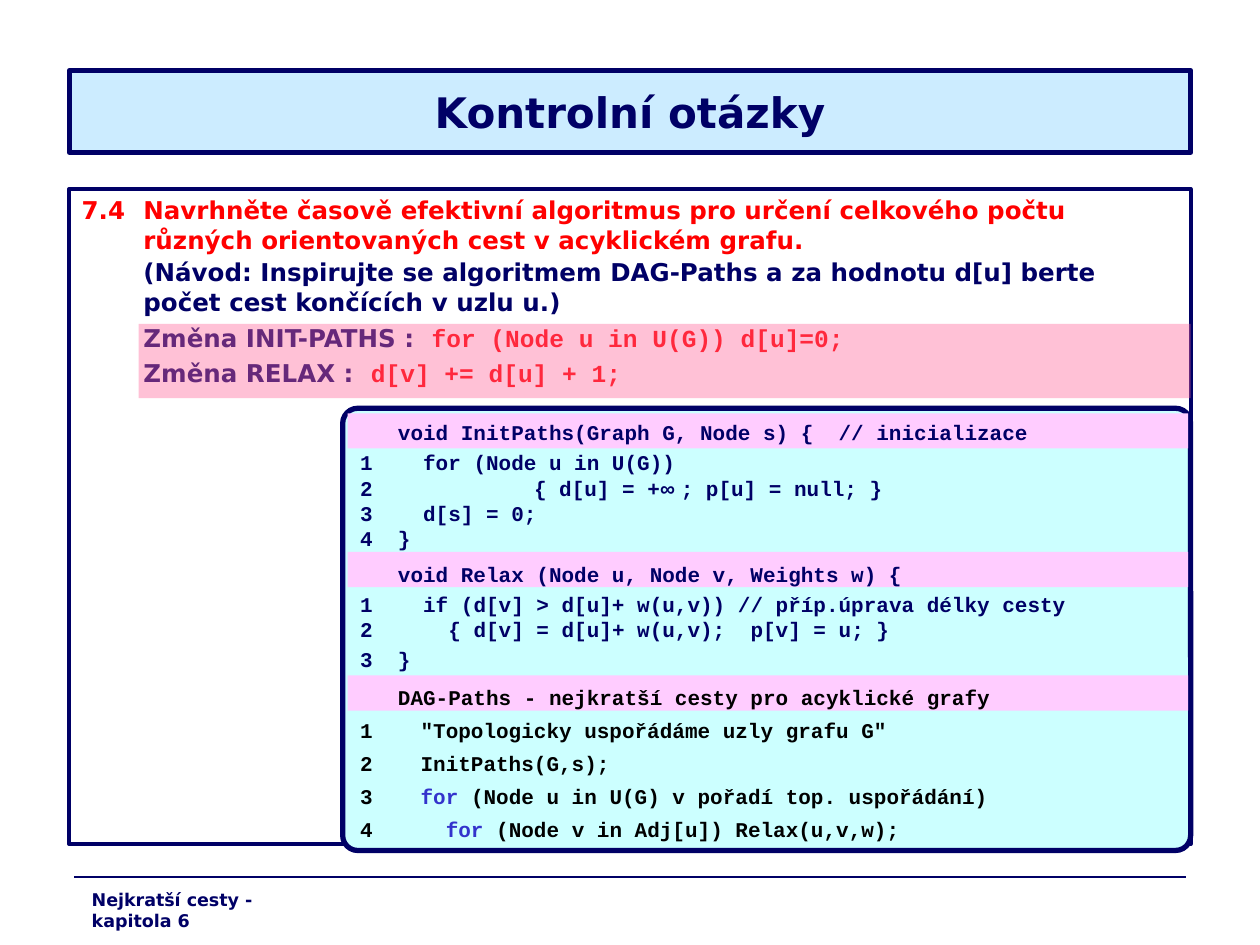
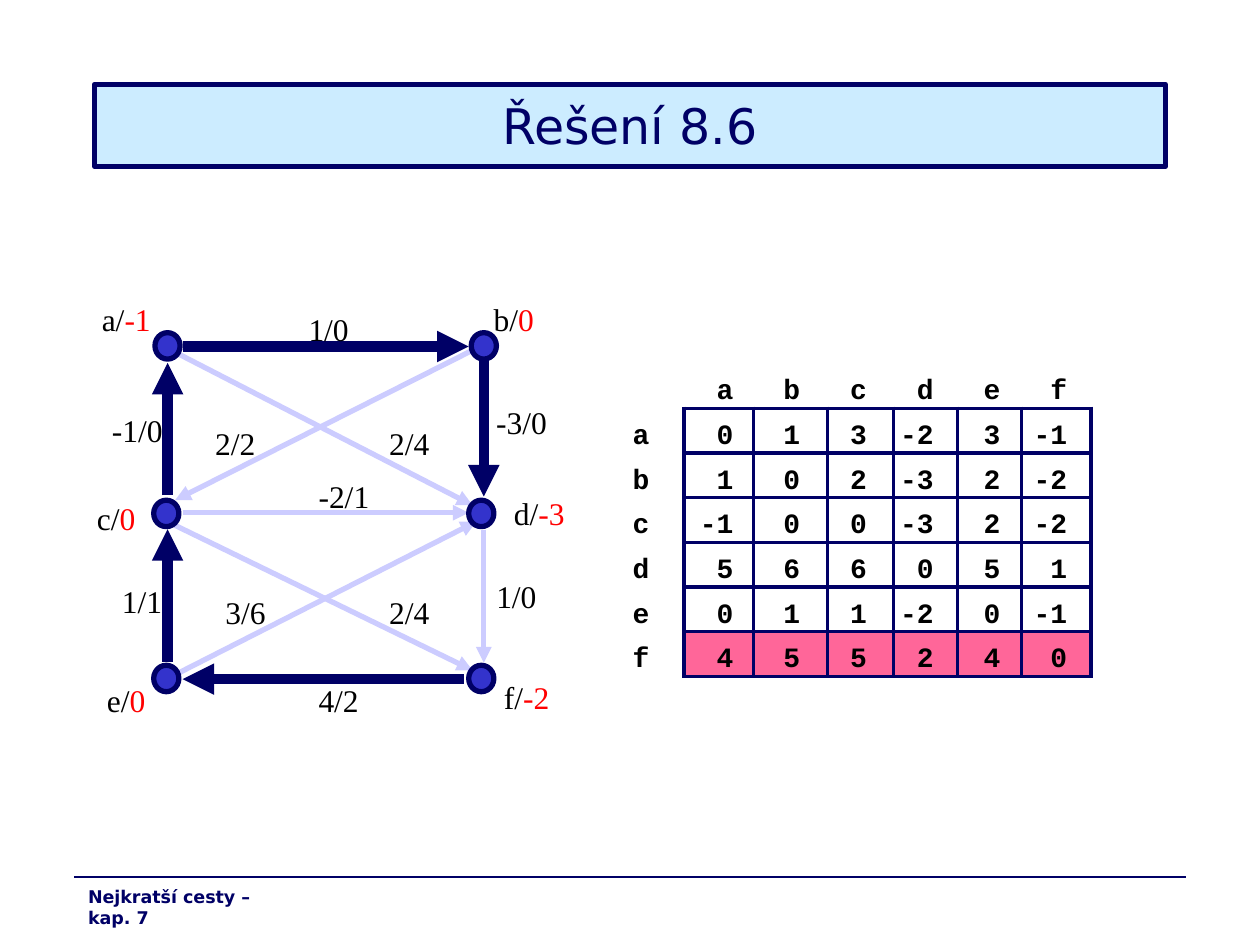
from dataclasses import dataclass
from typing import NamedTuple, Optional

from lxml import etree
from pptx import Presentation
from pptx import util as u
from pptx.dml.color import RGBColor
from pptx.enum import shapes, text
from pptx.oxml import ns

Inches = u.Inches
Kind = shapes.MSO_SHAPE


@dataclass(frozen=True)
class Theme:
    navy: str = "000066"
    sky: str = "CCECFF"
    aqua: str = "CCFFFF"
    pale: str = "FFCCFF"
    pink: str = "FF6699"
    red: str = "FF0000"
    blue: str = "3333CC"
    faint: str = "CCCCFF"
    black: str = "000000"
    sans: str = "DejaVu Sans"
    mono: str = "Courier New"
    serif: str = "Times New Roman"
    math: str = "Arial"
    head: int = 24
    answer: int = 28
    body: int = 14
    code: int = 12
    label: int = 18
    cell: int = 16
    foot: int = 10
    thin: float = 0.75
    rule: float = 2.25
    edge: float = 3
    bold: float = 6


T = Theme()


class Box(NamedTuple):
    x: float
    y: float
    w: float
    h: float


class Style(NamedTuple):
    face: str
    size: int
    color: str
    bold: bool = False


class Run(NamedTuple):
    text: str
    color: Optional[str] = None
    face: Optional[str] = None


class Para(NamedTuple):
    runs: list[Run]
    style: Style
    before: float = 0
    after: float = 0
    lead: float = 1
    hang: float = 0


class Edge(NamedTuple):
    x1: float
    y1: float
    x2: float
    y2: float
    strong: bool = False


class Label(NamedTuple):
    x: float
    y: float
    w: float
    text: str
    value: str = ""


def rgb(code: str) -> RGBColor:
    return RGBColor.from_string(code)


def set_font(font, style: Style) -> None:
    font.name, font.size, font.bold = style.face, u.Pt(style.size), style.bold
    font.color.rgb = rgb(style.color)


def write(frame, paras: list[Para]) -> None:
    frame.word_wrap = True
    for i, para in enumerate(paras):
        p = frame.paragraphs[0] if i == 0 else frame.add_paragraph()
        p.alignment = text.PP_ALIGN.LEFT
        p.space_before, p.space_after = u.Pt(para.before), u.Pt(para.after)
        p.line_spacing = para.lead
        if para.hang:
            props = p._p.get_or_add_pPr()
            props.set("marL", str(Inches(para.hang)))
            props.set("indent", str(-Inches(para.hang)))
        set_font(p.font, para.style)
        for run in para.runs:
            r = p.add_run()
            r.text = run.text
            if run.color:
                r.font.color.rgb = rgb(run.color)
            if run.face:
                r.font.name = run.face


def add_text(slide, box: Box, paras: list[Para]) -> None:
    write(slide.shapes.add_textbox(*map(Inches, box)).text_frame, paras)


def paint(shape, fill: Optional[str], line: Optional[str], width: float = T.edge) -> None:
    if fill:
        shape.fill.solid()
        shape.fill.fore_color.rgb = rgb(fill)
    else:
        shape.fill.background()
    if line:
        shape.line.color.rgb = rgb(line)
        shape.line.width = u.Pt(width)
    else:
        shape.line.fill.background()


def add_shape(slide, kind, box: Box, fill: Optional[str] = None,
              line: Optional[str] = None, width: float = T.edge):
    shape = slide.shapes.add_shape(kind, *map(Inches, box))
    shape.shadow.inherit = False
    paint(shape, fill, line, width)
    return shape


def add_line(slide, edge: Edge, color: str, width: float, arrow: bool = False) -> None:
    line = slide.shapes.add_connector(shapes.MSO_CONNECTOR.STRAIGHT, *map(Inches, edge[:4]))
    line.line.color.rgb = rgb(color)
    line.line.width = u.Pt(width)
    if arrow:
        etree.SubElement(line.line._get_or_add_ln(), ns.qn("a:tailEnd"), type="triangle")
    etree.SubElement(line._element.spPr, ns.qn("a:effectLst"))


def add_slide(deck, title: str, box: Box, style: Style, foot: str, spot: Box):
    slide = deck.slides.add_slide(deck.slide_layouts[5])
    add_line(slide, Edge(0.59, 6.96, 9.41, 6.96), T.navy, T.thin)
    head = slide.shapes.title
    head.left, head.top, head.width, head.height = map(Inches, box)
    paint(head, T.sky, T.navy)
    frame = head.text_frame
    frame.text = title
    frame.vertical_anchor = text.MSO_ANCHOR.MIDDLE
    frame.paragraphs[0].alignment = text.PP_ALIGN.CENTER
    set_font(frame.paragraphs[0].font, style)
    add_text(slide, spot, [Para([Run(foot)], Style(T.sans, T.foot, T.navy, True), 2.5)])
    return slide


ASK = Style(T.sans, T.body, T.navy, True)
CODE = Style(T.mono, T.code, T.navy, True)
DAG = CODE._replace(color=T.black)


def note(*runs: Run, before: float = 0, lead: float = 1) -> Para:
    return Para([Run("\t"), *runs], ASK, before, 1.8, lead, 0.49)


def code(mark: str, at: float, *runs: Run, before: float = 0,
         lead: float = 1, style: Style = CODE) -> Para:
    return Para([Run(f"{mark}\t"), *runs], style, before, 0, lead, at)


QUIZ = [
    Para([Run("7.4\tNavrhněte časově efektivní algoritmus pro určení celkového počtu "
              "různých orientovaných cest v acyklickém grafu.")],
         ASK._replace(color=T.red), 5.2, 1.8, 1, 0.49),
    note(Run("(Návod: Inspirujte se algoritmem DAG-Paths a za hodnotu d[u] berte "
             "počet cest končících v uzlu u.)")),
    note(Run("Změna INIT-PATHS :  "),
         Run("for (Node u in U(G)) d[u]=0;", T.red, T.mono), before=5.2, lead=0.8),
    note(Run("Změna RELAX :  "),
         Run("d[v] += d[u] + 1;", T.red, T.mono), before=5.2, lead=0.8),
]

LINES = [
    code("", 0.3, Run("void InitPaths(Graph G, Node s) {  // inicializace"), before=3),
    code("1", 0.5, Run("for (Node u in U(G))"), before=3),
    code("2", 1.38, Run("{ d[u] = +"), Run("∞ ", face=T.math), Run("; p[u] = null; }")),
    code("3", 0.5, Run("d[s] = 0;")),
    code("4", 0.3, Run("}")),
    code("", 0.3, Run("void Relax (Node u, Node v, Weights w) {"), before=6),
    code("1", 0.5, Run("if (d[v] > d[u]+ w(u,v)) // příp.úprava délky cesty"), before=3),
    code("2", 0.7, Run("{ d[v] = d[u]+ w(u,v);  p[v] = u; }")),
    code("3", 0.3, Run("}"), before=2.3),
    code("", 0.3, Run("DAG-Paths - nejkratší cesty pro acyklické grafy"),
         before=3, lead=1.3, style=DAG),
    code("1", 0.48, Run('"Topologicky uspořádáme uzly grafu G"'), before=4.5, style=DAG),
    code("2", 0.48, Run("InitPaths(G,s);"), before=4.5, style=DAG),
    code("3", 0.48, Run("for ", T.blue), Run("(Node u in U(G) v pořadí top. uspořádání)"),
         before=4.5, style=DAG),
    code("4", 0.68, Run("for ", T.blue), Run("(Node v in Adj[u]) Relax(u,v,w);"),
         before=4.5, style=DAG),
]

EDGES = [
    Edge(1.42, 5.34, 3.78, 4.14), Edge(1.45, 4.07, 3.72, 4.07),
    Edge(3.68, 5.39, 1.45, 5.39, True), Edge(1.33, 5.25, 1.33, 4.2, True),
    Edge(1.45, 2.75, 3.72, 2.75, True), Edge(1.36, 2.78, 3.75, 4.01),
    Edge(3.84, 2.82, 3.84, 3.94, True), Edge(1.39, 4.17, 3.75, 5.32),
    Edge(3.75, 2.78, 1.39, 3.97), Edge(1.33, 3.93, 1.33, 2.88, True),
    Edge(3.84, 4.21, 3.84, 5.26),
]
NODES = [(1.23, 2.64), (3.74, 2.64), (1.22, 3.97), (3.72, 3.97), (1.22, 5.28), (3.72, 5.28)]
LABELS = [
    Label(2.35, 2.41, 0.68, "1/0"), Label(0.87, 4.57, 0.53, "1/1"),
    Label(3.84, 4.53, 0.61, "1/0"), Label(1.61, 3.32, 0.65, "2/2"),
    Label(3.84, 3.15, 0.73, "-3/0"), Label(2.99, 3.32, 0.62, "2/4"),
    Label(2.43, 3.74, 0.68, "-2/1"), Label(1.69, 4.66, 0.56, "3/6"),
    Label(0.79, 3.21, 0.64, "-1/0"), Label(2.99, 4.66, 0.74, "2/4"),
    Label(2.43, 5.36, 0.6, "4/2"), Label(0.71, 2.33, 0.67, "a/", "-1"),
    Label(3.9, 5.33, 0.71, "f/", "-2"), Label(0.75, 5.36, 0.55, "e/", "0"),
    Label(3.98, 3.87, 0.63, "d/", "-3"), Label(0.67, 3.91, 0.55, "c/", "0"),
    Label(3.82, 2.33, 0.55, "b/", "0"),
]
NAMES = "abcdef"
COSTS = [
    (0, 1, 3, -2, 3, -1),
    (1, 0, 2, -3, 2, -2),
    (-1, 0, 0, -3, 2, -2),
    (5, 6, 6, 0, 5, 1),
    (0, 1, 1, -2, 0, -1),
    (4, 5, 5, 2, 4, 0),
]
STOPS = [4.92, 5.43, 5.98, 6.57, 7.09, 7.6, 8.11, 8.66]
NO_GRID = "{2D5ABB26-0587-4C30-8999-92F81FD0307C}"


def add_sides(cell, sides: str) -> None:
    props = cell._tc.get_or_add_tcPr()
    for i, side in enumerate(sides):
        line = etree.Element(ns.qn(f"a:ln{side}"), w=str(u.Pt(T.rule)))
        fill = etree.SubElement(line, ns.qn("a:solidFill"))
        etree.SubElement(fill, ns.qn("a:srgbClr"), val=T.navy)
        props.insert(i, line)


def add_costs(slide) -> None:
    rows = [("", *NAMES)] + [(n, *row) for n, row in zip(NAMES, COSTS)]
    high = 2.13 / len(COSTS)
    box = Box(STOPS[0], 3.24 - high, STOPS[-1] - STOPS[0], high * len(rows))
    frame = slide.shapes.add_table(len(rows), len(rows[0]), *map(Inches, box))
    grid = frame.table
    grid._tbl.tblPr.find(ns.qn("a:tableStyleId")).text = NO_GRID
    grid.first_row = grid.horz_banding = False
    for c, (left, right) in enumerate(zip(STOPS, STOPS[1:])):
        grid.columns[c].width = Inches(right - left)
    for r, row in enumerate(rows):
        grid.rows[r].height = Inches(high)
        for c, value in enumerate(row):
            cell = grid.cell(r, c)
            cell.margin_top = cell.margin_bottom = 0
            cell.margin_left = Inches(0.1 if c == 0 else 0)
            cell.margin_right = Inches(STOPS[c + 1] - 5.29 - 0.53 * c if c else 0)
            cell.vertical_anchor = text.MSO_ANCHOR.BOTTOM
            cell.text = str(value)
            p = cell.text_frame.paragraphs[0]
            p.alignment = text.PP_ALIGN.RIGHT if c else text.PP_ALIGN.LEFT
            set_font(p.font, Style(T.mono, T.cell, T.black, True))
            if c and r == len(COSTS):
                cell.fill.solid()
                cell.fill.fore_color.rgb = rgb(T.pink)
            else:
                cell.fill.background()
            drawn = {"L": r and c, "R": r, "T": r and c, "B": c}
            add_sides(cell, "".join(side for side, on in drawn.items() if on))


def add_quiz(deck) -> None:
    slide = add_slide(deck, "Kontrolní otázky", Box(0.55, 0.56, 8.9, 0.65),
                      Style(T.sans, T.head, T.navy, True),
                      "Nejkratší cesty - kapitola 6", Box(0.63, 7.01, 2.04, 0.27))
    panel = add_shape(slide, Kind.RECTANGLE, Box(0.55, 1.5, 8.9, 5.2), None, T.navy, T.rule)
    panel.text_frame.vertical_anchor = text.MSO_ANCHOR.TOP
    write(panel.text_frame, QUIZ)
    veil = add_shape(slide, Kind.RECTANGLE, Box(1.1, 2.57, 8.35, 0.59), T.pink)
    tint = veil._element.spPr.find(".//" + ns.qn("a:srgbClr"))
    etree.SubElement(tint, ns.qn("a:alpha"), val="40000")
    card = add_shape(slide, Kind.ROUNDED_RECTANGLE, Box(2.72, 3.24, 6.73, 3.51), T.aqua, T.navy)
    card.adjustments[0] = 0.034
    for y in (3.28, 4.38, 5.36):
        add_shape(slide, Kind.RECTANGLE, Box(2.76, y, 6.67, 0.28), T.pale)
    add_text(slide, Box(2.76, 3.28, 6.81, 3.42), LINES)


def add_answer(deck) -> None:
    slide = add_slide(deck, "Řešení 8.6", Box(0.75, 0.67, 8.5, 0.65),
                      Style(T.sans, T.answer, T.navy),
                      "Nejkratší cesty – kap. 7", Box(0.6, 6.98, 1.79, 0.27))
    for edge in sorted(EDGES, key=lambda e: e.strong):
        color, width = (T.navy, T.bold) if edge.strong else (T.faint, T.edge)
        add_line(slide, edge, color, width, True)
    for x, y in NODES:
        add_shape(slide, Kind.OVAL, Box(x, y, 0.2, 0.21), T.blue, T.navy)
    for tag in LABELS:
        runs = [Run(tag.text)] + ([Run(tag.value, T.red)] if tag.value else [])
        add_text(slide, Box(tag.x, tag.y, tag.w, 0.4),
                 [Para(runs, Style(T.serif, T.label, T.black), 4.5)])
    add_costs(slide)


def main() -> None:
    deck = Presentation()
    deck.slide_width, deck.slide_height = Inches(10), Inches(7.5)
    add_quiz(deck)
    add_answer(deck)
    deck.save("out.pptx")


if __name__ == "__main__":
    main()
